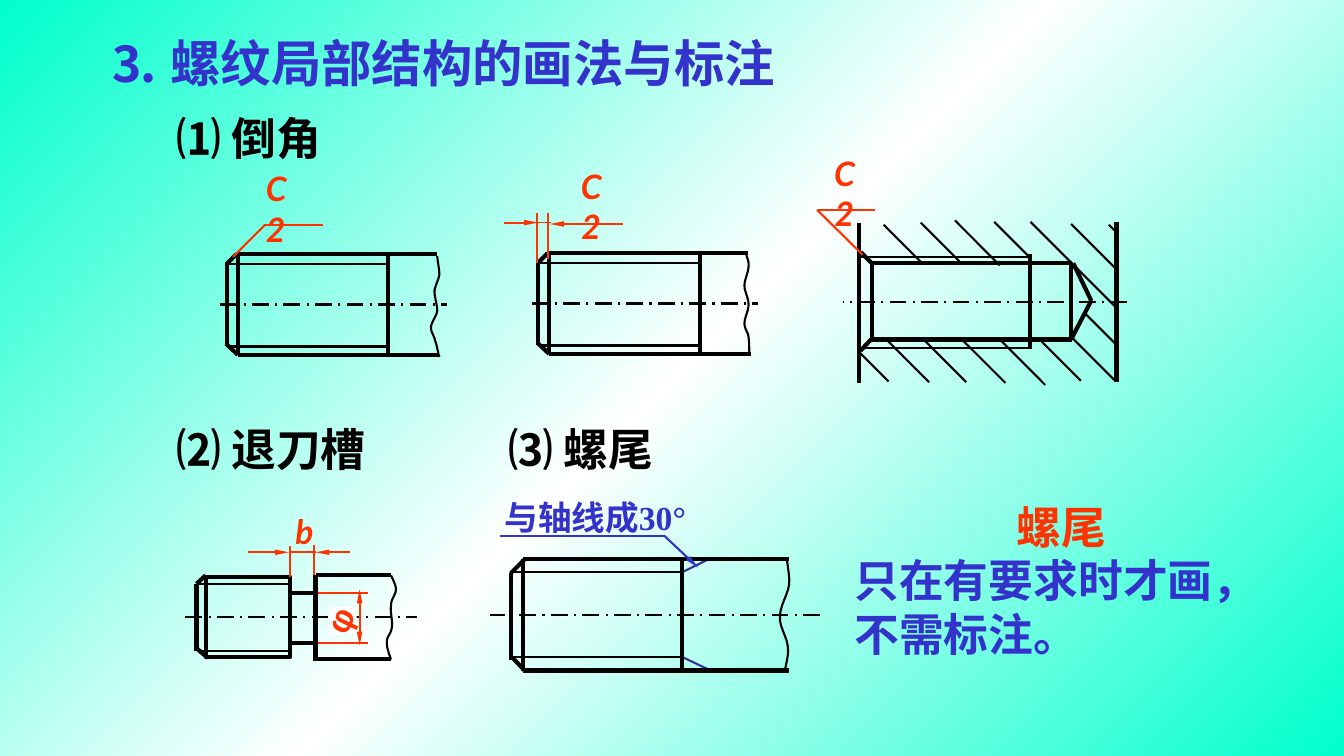
import pptx
import pptx.util
import pptx.dml.color
import pptx.enum.dml
import pptx.enum.shapes
import pptx.enum.text
import copy
from lxml import etree

Pt = pptx.util.Pt
RGB = pptx.dml.color.RGBColor.from_string
NS = "{http://schemas.openxmlformats.org/drawingml/2006/main}"
INK = {"black": "000000", "red": "FF3300", "blue": "3333CC",
       "navy": "333399", "mint": "00FFCC", "white": "FFFFFF"}
# Pens: colour, width, arrow ends
PENS = {
    "edge": ("black", 3, ()), "thread": ("black", 1.5, ()),
    "axis": ("black", 1.5, ()), "tail": ("navy", 1.5, ()),
    "note": ("blue", 1.5, ()), "point": ("blue", 1.5, ("headEnd",)),
    "dim": ("red", 1.5, ()), "fine": ("red", 1, ()),
    "from": ("red", 1.5, ("headEnd",)), "to": ("red", 1.5, ("tailEnd",)),
    "both": ("red", 1.5, ("headEnd", "tailEnd")),
}

deck = pptx.Presentation()
deck.slide_width, deck.slide_height = Pt(960.5), Pt(540)
slide = deck.slides.add_slide(deck.slide_layouts[6])
shapes = slide.shapes

# Background: mint to white to mint along the diagonal
fill = slide.background.fill
fill.gradient()
fill.gradient_angle = 315
first = slide.element.xpath(".//a:gs")[0]
mid = copy.deepcopy(first)
mid.set("pos", "50000")
first.addnext(mid)
for stop, ink in zip(fill.gradient_stops, ("mint", "white", "mint")):
    stop.color.rgb = RGB(INK[ink])


def draw(pen, ends):
    ink, width, heads = PENS[pen]
    for x1, y1, x2, y2 in ends:
        line = shapes.add_connector(pptx.enum.shapes.MSO_CONNECTOR.STRAIGHT,
                                    Pt(x1), Pt(y1), Pt(x2), Pt(y2))
        line.line.color.rgb = RGB(INK[ink])
        line.line.width = Pt(width)
        if pen == "axis":
            line.line.dash_style = pptx.enum.dml.MSO_LINE.LONG_DASH_DOT
        for head in heads:
            etree.SubElement(line.line._get_or_add_ln(), NS + head,
                             type="triangle", w="sm", len="lg")
        etree.SubElement(line._element.spPr, NS + "effectLst")


def block(x, y, wide, high):
    box = shapes.add_shape(pptx.enum.shapes.MSO_SHAPE.RECTANGLE,
                           Pt(x), Pt(y), Pt(wide), Pt(high))
    box.shadow.inherit = False
    return box


# Two bolts with chamfered ends
bolt = {
    "edge": [(168.5, 181.5, 312, 181.5), (170, 181.5, 170, 253.5),
             (170, 253.5, 314, 253.5), (277.5, 182, 277.5, 254.5),
             (161.5, 245.5, 170, 253.5), (162, 187.5, 162, 247.5),
             (169, 181.5, 162, 188.5)],
    "thread": [(162, 188.5, 278.5, 188.5), (164, 247.5, 278.5, 247.5)],
    "axis": [(157.5, 217.5, 319.5, 217.5)],
}
for dx, dy in ((0, 0), (222.5, -0.7)):
    for pen, ends in bolt.items():
        draw(pen, [(a + dx, b + dy, c + dx, d + dy) for a, b, c, d in ends])

# Threaded hole with its drill point
draw("edge", [(614, 159, 614, 273.5), (736, 181.5, 736, 249),
              (623.5, 188, 766, 188), (623.5, 242.5, 766, 242.5),
              (765.5, 187, 765.5, 242), (765.5, 242.5, 780, 214.5),
              (767, 188, 780, 215), (623, 187, 623, 243.5),
              (798, 158.5, 798, 273), (623, 188, 615, 180),
              (623, 242, 615, 250.5)])
draw("thread", [(615.5, 183.5, 735, 183.5), (615.5, 248.5, 736, 248.5)])
draw("axis", [(805.5, 215.5, 602.5, 215.5)])

# Hatching at 45 degrees: start and run
hatch = [(631.5, 160.5, 27.5), (658, 159, 27.5), (682.5, 157.5, 32),
         (710.5, 158.5, 24.5), (736.5, 158.5, 32.5), (765.5, 160, 33),
         (792.5, 160.5, 5), (766, 188, 32.5), (774.5, 223, 23),
         (766, 241, 31), (744.5, 244, 28), (715.5, 243.5, 31.5),
         (687, 242, 31.5), (660, 242.5, 30.5), (634.5, 243.5, 29.5),
         (614, 251.5, 21)]
draw("thread", [(x, y, x + run, y + run) for x, y, run in hatch])

# Bolt with thread runout
draw("tail", [(488, 408.5, 507.5, 399), (488, 469.5, 508, 479)])
draw("edge", [(564, 399.5, 373.5, 399.5), (564, 479, 373.5, 479),
              (373.5, 399.5, 373.5, 479), (375, 399.5, 365, 409.5),
              (365, 409, 365, 471.5), (487.5, 401, 487.5, 479.5),
              (375, 479, 366, 469.5)])
draw("thread", [(489, 408.5, 367, 408.5), (486.5, 469.5, 364.5, 469.5)])
draw("axis", [(586, 439, 350, 439)])
draw("note", [(474.5, 383, 357, 383)])
draw("point", [(499, 405.5, 474.5, 382.5)])

# Bolt with relief groove
draw("axis", [(132.5, 440.5, 298, 440.5)])
body = block(147, 412, 60.5, 57.5)
body.fill.background()
body.line.color.rgb = RGB(INK["black"])
body.line.width = Pt(3)
draw("edge", [(147, 411, 140.5, 417), (148.5, 470, 140.5, 463),
              (140.5, 417, 140.5, 465), (207.5, 423.5, 225.5, 423.5),
              (207.5, 459.5, 225.5, 459.5), (225.5, 411, 279.5, 411),
              (225.5, 471, 279.5, 471), (225.5, 410.5, 225.5, 472.5)])
draw("thread", [(141, 417, 207.5, 417), (142, 465, 208, 465)])
patch = block(235.5, 433.5, 19.5, 19.5)
patch.fill.solid()
patch.fill.fore_color.rgb = RGB(INK["white"])
patch.line.fill.background()

# Break lines: Bezier knots, three per curve after the start
waves = [
    [(312.5, 183), (312.5, 185), (314, 192), (314, 196.5), (313, 201),
     (311, 204), (310.5, 208), (310.5, 212.5), (312.5, 217.5), (312.5, 222),
     (312, 226), (308, 230.5), (308, 234), (308, 237.5), (310.5, 240),
     (311, 243.5), (312.5, 247), (313, 252.5), (314, 255)],
    [(533, 180.5), (533, 182), (535.5, 186.5), (535, 190), (535, 194.5),
     (532, 199.5), (532, 204), (532, 208), (535, 213), (535, 217.5),
     (535, 222), (532, 227), (532, 231), (532, 235), (535, 238),
     (535, 241), (535.5, 245), (535.5, 250.5), (535.5, 253.5)],
    [(562.5, 399.5), (562.5, 402.5), (564.5, 411), (564, 417.5), (563, 425),
     (557.5, 432.5), (557.5, 440), (556.5, 447), (562.5, 455), (563, 461.5),
     (564, 468), (561.5, 475), (561, 479)],
    [(279.5, 411), (280, 412.5), (283, 417.5), (283, 421), (283, 425),
     (279.5, 427.5), (279.5, 432), (278.5, 437), (281, 443.5), (280, 448.5),
     (279.5, 453), (276.5, 454.5), (276.5, 458), (276, 462), (278.5, 468.5),
     (279.5, 471)],
]
for knots in waves:
    trail = []
    for k in range(0, len(knots) - 1, 3):
        for t in (n / 6 for n in range(1, 7)):
            mix = ((1 - t) ** 3, 3 * t * (1 - t) ** 2, 3 * t * t * (1 - t), t ** 3)
            trail.append([Pt(sum(m * p[i] for m, p in zip(mix, knots[k:k + 4])))
                          for i in (0, 1)])
    pen = shapes.build_freeform(Pt(knots[0][0]), Pt(knots[0][1]))
    pen.add_line_segments(trail, close=False)
    wave = pen.convert_to_shape()
    wave.shadow.inherit = False
    wave.fill.background()
    wave.line.color.rgb = RGB(INK["black"])
    wave.line.width = Pt(1.5)

# Chamfer leaders and dimensions
draw("dim", [(188.5, 160.5, 230.5, 160.5), (166.5, 183.5, 189.5, 160.5),
             (616.5, 182, 584, 150), (584, 150, 625.5, 150),
             (391.5, 185, 391.5, 152), (384, 188, 384, 152)])
draw("fine", [(394, 159, 384, 159)])
draw("from", [(393, 160, 445, 160), (384.5, 159, 360, 159)])

# Groove dimensions
draw("dim", [(227, 423.5, 263, 423.5), (227, 459.5, 263, 459.5),
             (206.5, 394.5, 225.5, 394.5), (207.5, 412, 207.5, 390),
             (224.5, 411, 224.5, 389.5)])
draw("both", [(257, 421, 257, 461)])
draw("to", [(177, 394.5, 206.5, 394.5)])
draw("from", [(225.5, 394.5, 250, 394.5)])

# Text: place, turn, font, size, italic, then (words, colour, alignment)
HAN = "Noto Sans CJK SC"
LEFT, MID = pptx.enum.text.PP_ALIGN.LEFT, pptx.enum.text.PP_ALIGN.CENTER
texts = [
    ((70.5, 19.5, 500, 50), 0, HAN, 36, False, [("⒊ 螺纹局部结构的画法与标注", "blue", LEFT)]),
    ((119, 75, 130, 46), 0, HAN, 32, False, [("⑴ 倒角", "black", LEFT)]),
    ((119, 297.5, 165, 46), 0, HAN, 32, False, [("⑵ 退刀槽", "black", LEFT)]),
    ((356.5, 297.5, 130, 46), 0, HAN, 32, False, [("⑶ 螺尾", "black", LEFT)]),
    ((183, 131, 40, 36), 0, "Lato", 24, True, [("C2", "red", LEFT)]),
    ((402.5, 129, 40, 36), 0, "Lato", 24, True, [("C2", "red", MID)]),
    ((583.5, 120, 40, 36), 0, "Lato", 24, True, [("C2", "red", MID)]),
    ((353.5, 351.5, 170, 36), 0, "Times New Roman", 24, False, [("与轴线成30°", "blue", LEFT)]),
    ((603.5, 353, 310.5, 122.5), 0, HAN, 32, False,
     [("螺尾", "red", MID), ("只在有要求时才画，不需标注。", "blue", LEFT)]),
    ((222.5, 425, 40, 36), 295.6, "Arial", 24, False, [("φ", "red", MID)]),
    ((197.5, 361.5, 40, 36), 0, "Lato", 24, True, [("b", "red", MID)]),
]
for place, turn, face, size, slant, lines in texts:
    box = shapes.add_textbox(*map(Pt, place))
    box.rotation = turn
    frame = box.text_frame
    frame.word_wrap = True
    frame.vertical_anchor = pptx.enum.text.MSO_ANCHOR.MIDDLE
    form = {"name": face, "size": Pt(size), "bold": True, "italic": slant}
    for n, (words, ink, align) in enumerate(lines):
        para = frame.add_paragraph() if n else frame.paragraphs[0]
        para.alignment = align
        if len(lines) > 1:
            para.line_spacing = Pt(38.4)
        run = para.add_run()
        run.text = words
        for key, value in form.items():
            setattr(run.font, key, value)
        run.font.color.rgb = RGB(INK[ink])
        etree.SubElement(run._r.get_or_add_rPr(), NS + "ea", typeface=HAN)

deck.save("out.pptx")
